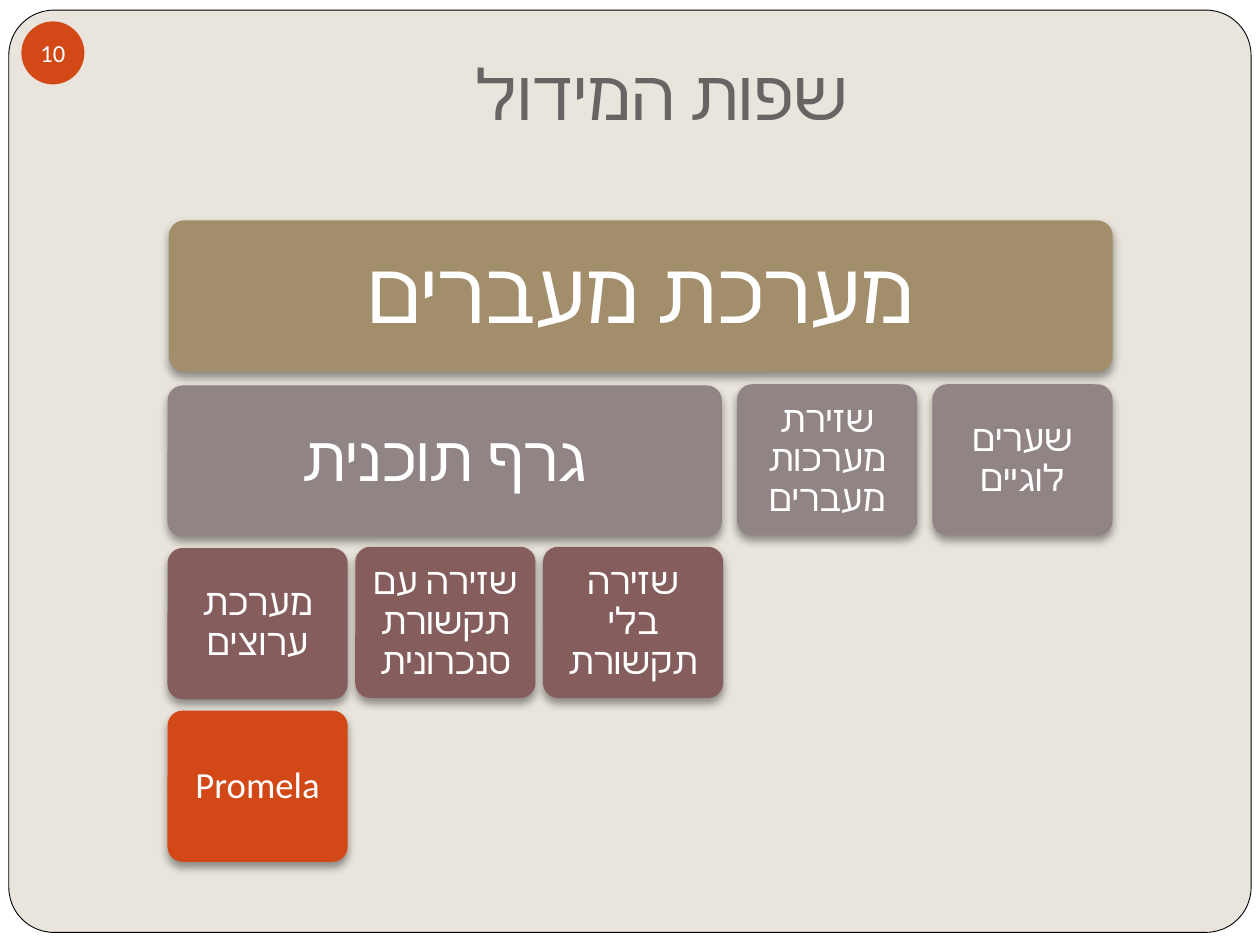
from lxml import etree
from pptx import Presentation
from pptx.dml.color import RGBColor
from pptx.enum import shapes as sh, text as tx
from pptx.oxml.ns import qn
from pptx.util import Inches, Pt

FONT = "Calibri"
TAN, GRAY, PLUM, RUST = "A28E6A", "918485", "855D5D", "D34817"
SAND, WHITE, INK = "E9E5DC", "FFFFFF", "696464"
ROUND, OVAL = sh.MSO_SHAPE.ROUNDED_RECTANGLE, sh.MSO_SHAPE.OVAL
HIGH, SMALL, WIDE, FULL = 1.2, 1.43, 4.4, 7.49

# label, left, top, width, colour, text size, inset
TILES = [
    ("מערכת מעברים", 1.34, 1.75, FULL, TAN, 49, 0.2),
    ("גרף תוכנית", 1.33, 3.06, WIDE, GRAY, 36, 0.15),
    ("מערכת ערוצים", 1.33, 4.35, SMALL, PLUM, 21, 0.09),
    ("Promela", 1.33, 5.64, SMALL, RUST, 21, 0.09),
    ("שזירה עם תקשורת סנכרונית", 2.82, 4.34, SMALL, PLUM, 21, 0.09),
    ("שזירה בלי תקשורת", 4.31, 4.34, SMALL, PLUM, 21, 0.09),
    ("שזירת מערכות מעברים", 5.85, 3.05, SMALL, GRAY, 21, 0.09),
    ("שערים לוגיים", 7.4, 3.05, SMALL, GRAY, 21, 0.09),
]


def color(code):
    return RGBColor.from_string(code)


def write(shape, label, size, ink, insets, anchor=tx.MSO_ANCHOR.MIDDLE, rtl=True):
    """Fill a shape with one centred line; insets run left, top, right, bottom."""
    frame = shape.text_frame
    frame.text = label
    frame.word_wrap = rtl
    frame.auto_size = tx.MSO_AUTO_SIZE.NONE
    frame.vertical_anchor = anchor
    (frame.margin_left, frame.margin_top,
     frame.margin_right, frame.margin_bottom) = map(Inches, insets)
    para = frame.paragraphs[0]
    para.alignment = tx.PP_ALIGN.CENTER
    if rtl:
        para._p.get_or_add_pPr().set("rtl", "1")
    run = para.runs[0]
    run.font.name = FONT
    run.font.size = Pt(size)
    run.font.color.rgb = color(ink)
    etree.SubElement(run._r.rPr, qn("a:cs")).set("typeface", FONT)
    return para


def add_shape(slide, kind, box, fill):
    shape = slide.shapes.add_shape(kind, *map(Inches, box))
    shape.shadow.inherit = False
    shape.fill.solid()
    shape.fill.fore_color.rgb = color(fill)
    shape.line.fill.background()
    return shape


def add_shadow(shape):
    effects = shape._element.spPr.find(qn("a:effectLst"))
    outer = etree.SubElement(
        effects, qn("a:outerShdw"), blurRad=str(Pt(5.2)), dist=str(Pt(3)),
        dir="5400000", rotWithShape="0")
    black = etree.SubElement(outer, qn("a:srgbClr"), val="000000")
    etree.SubElement(black, qn("a:alpha"), val="40000")


def add_frame(slide):
    """Draw the rounded page panel behind everything else."""
    panel = add_shape(slide, ROUND, (0.07, 0.08, 9.86, 7.32), SAND)
    panel.adjustments[0] = 0.049
    panel.line.color.rgb = color("000000")
    panel.line.width = Pt(0.5)
    slide.shapes._spTree.insert(2, panel._element)


def add_title(slide, label):
    title = slide.shapes.title
    title.left, title.top = Inches(1), Inches(-0.08)
    title.width, title.height = Inches(8.5), Inches(1.25)
    write(title, label, 40, INK, (0.1, 0.05, 0.1, 0.1), tx.MSO_ANCHOR.BOTTOM)


def add_badge(slide, label):
    badge = add_shape(slide, OVAL, (0.17, 0.17, 0.5, 0.5), RUST)
    write(badge, label, 14, WHITE, [0] * 4, rtl=False)


def add_tile(slide, label, left, top, width, fill, size, inset):
    tile = add_shape(slide, ROUND, (left, top, width, HIGH), fill)
    tile.adjustments[0] = 0.1
    add_shadow(tile)
    write(tile, label, size, WHITE, [inset] * 4).line_spacing = 0.9


def main():
    deck = Presentation()
    deck.slide_width, deck.slide_height = Inches(10), Inches(7.5)
    slide = deck.slides.add_slide(deck.slide_layouts[5])
    slide.background.fill.solid()
    slide.background.fill.fore_color.rgb = color(WHITE)
    add_frame(slide)
    add_title(slide, "שפות המידול")
    add_badge(slide, "10")
    for tile in TILES:
        add_tile(slide, *tile)
    deck.save("out.pptx")


if __name__ == "__main__":
    main()
